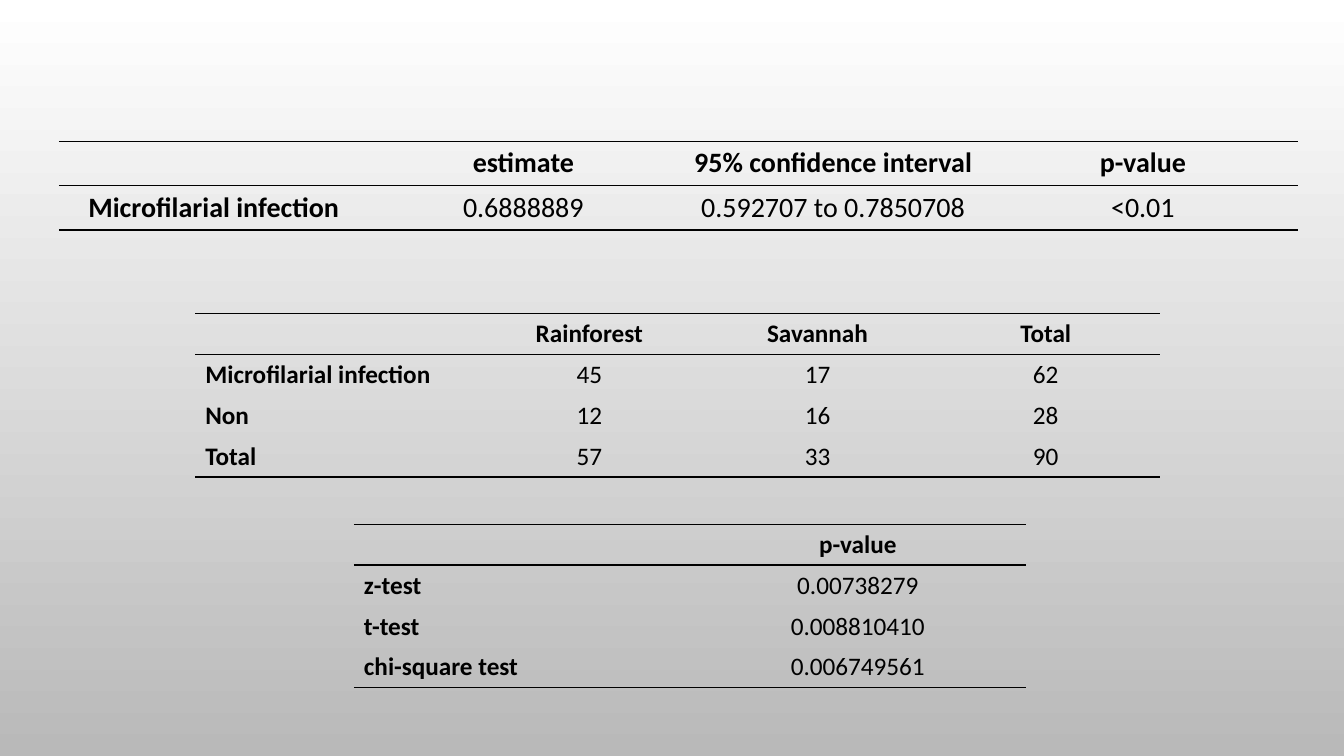
from lxml import etree
from pptx import Presentation
from pptx import util as u
from pptx.dml import color
from pptx.enum import text
from pptx.oxml import ns

NO_STYLE = "{2D5ABB26-0587-4C30-8999-92F81FD0307C}"
INK = "000000"


def rgb(value):
    """Turn a hex string into a colour."""
    return color.RGBColor.from_string(value)


def paint_background(slide, top, bottom):
    """Fill the slide with a vertical gradient."""
    fill = slide.background.fill
    fill.gradient()
    fill.gradient_angle = 270
    for stop, value in zip(fill.gradient_stops, (top, bottom)):
        stop.color.rgb = rgb(value)


def rule_cell(cell, edges):
    """Draw one-point rules on the named edges of a cell."""
    properties = cell._tc.get_or_add_tcPr()
    for position, edge in enumerate(edges):
        line = etree.Element(ns.qn(f"a:{edge}"), w=str(u.Pt(1)))
        fill = etree.SubElement(line, ns.qn("a:solidFill"))
        etree.SubElement(fill, ns.qn("a:srgbClr"), val=INK)
        properties.insert(position, line)


def write_cell(cell, wording, size, bold, alignment):
    """Set the text and look of one cell."""
    cell.fill.background()
    cell.vertical_anchor = text.MSO_ANCHOR.MIDDLE
    paragraph = cell.text_frame.paragraphs[0]
    paragraph.alignment = alignment
    if wording:
        paragraph.text = wording
    for part in (paragraph, *paragraph.runs):
        part.font.name = "Calibri"
        part.font.size = u.Pt(size)
        part.font.bold = bold
        part.font.color.rgb = rgb(INK)


def add_ruled_table(slide, box, rows, widths, size, label_alignment):
    """Place a table ruled above and below its header and at its foot."""
    left, top, width, height = map(u.Pt, box)
    shape = slide.shapes.add_table(len(rows), len(widths), left, top, width, height)
    next(shape.element.iter(ns.qn("a:tableStyleId"))).text = NO_STYLE
    table = shape.table
    table.horz_banding = False
    for column, column_width in zip(table.columns, widths):
        column.width = u.Pt(column_width)
    for r, row in enumerate(rows):
        table.rows[r].height = u.Pt(box[3] / len(rows))
        for c, wording in enumerate(row):
            cell = table.cell(r, c)
            is_label = r > 0 and c == 0
            alignment = label_alignment if is_label else text.PP_ALIGN.CENTER
            write_cell(cell, wording, size, r == 0 or c == 0, alignment)
            if r == 0:
                rule_cell(cell, ("lnT", "lnB"))
            elif r == len(rows) - 1:
                rule_cell(cell, ("lnB",))


def build_results_slide(slide):
    """Lay out the estimate, count and test tables."""
    paint_background(slide, "FFFFFF", "B9B9B9")
    left, center = text.PP_ALIGN.LEFT, text.PP_ALIGN.CENTER
    counts = [
        ("", "Rainforest", "Savannah", "Total"),
        ("Microfilarial infection", "45", "17", "62"),
        ("Non", "12", "16", "28"),
        ("Total", "57", "33", "90"),
    ]
    add_ruled_table(slide, (139.5, 223.8, 689, 117), counts, [200] + [163] * 3, 18, left)
    tests = [
        ("", "p-value"),
        ("z-test", "0.00738279"),
        ("t-test", "0.008810410"),
        ("chi-square test", "0.006749561"),
    ]
    add_ruled_table(slide, (252.8, 374.4, 480, 117), tests, [240] * 2, 18, left)
    estimate = [
        ("", "estimate", "95% confidence interval", "p-value"),
        ("Microfilarial infection", "0.6888889", "0.592707 to 0.7850708", "<0.01"),
    ]
    add_ruled_table(slide, (42, 100.8, 885, 63), estimate, [221.25] * 4, 20, center)


def main():
    """Build and save the presentation."""
    presentation = Presentation()
    presentation.slide_width = u.Pt(960)
    presentation.slide_height = u.Pt(540)
    build_results_slide(presentation.slides.add_slide(presentation.slide_layouts[6]))
    presentation.save("out.pptx")


if __name__ == "__main__":
    main()
